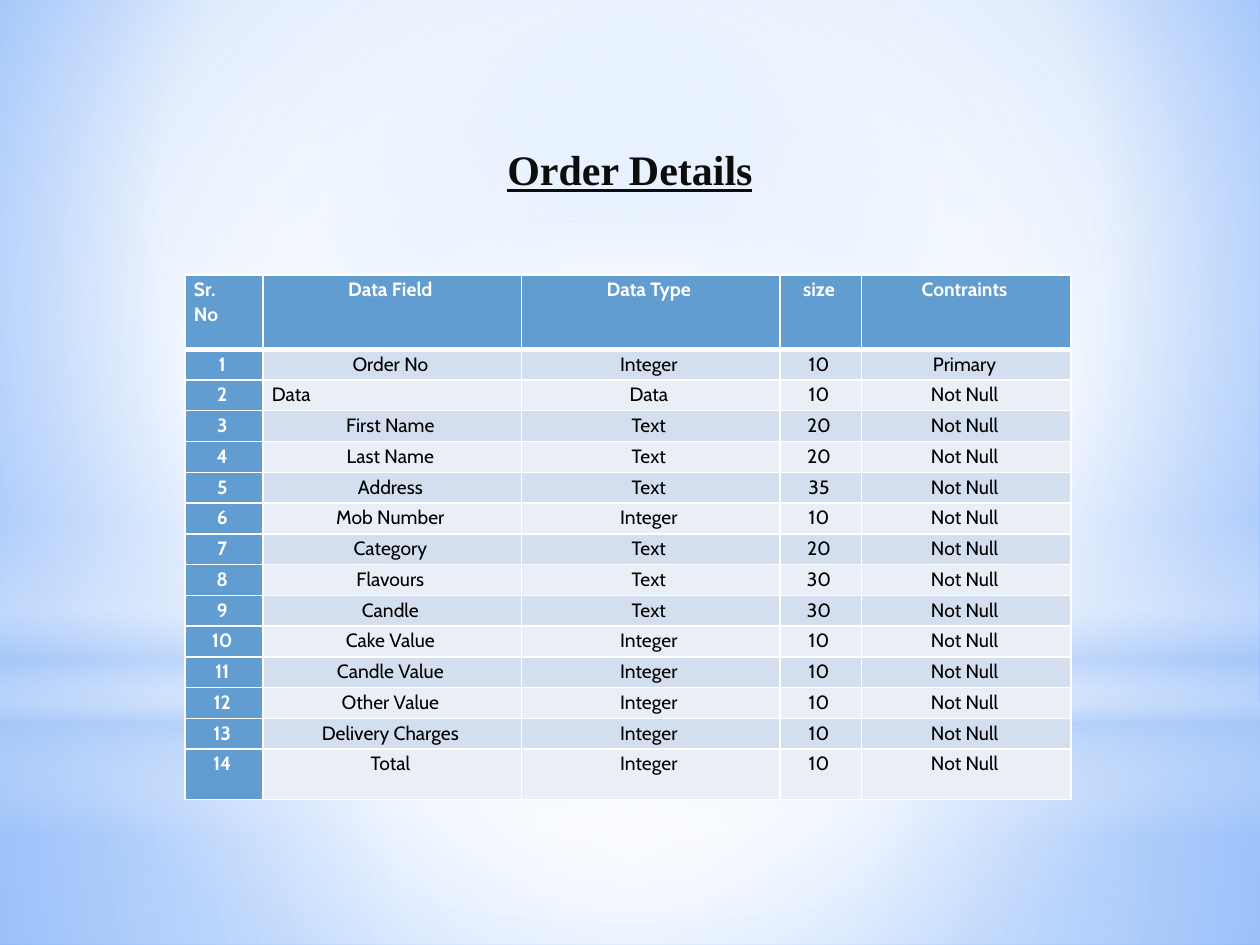
"""Build the Order Details data dictionary slide."""
import pptx
import pptx.dml.color
import pptx.enum.shapes
import pptx.enum.text
import pptx.oxml
import pptx.oxml.ns
import pptx.util

Cm, Pt = pptx.util.Cm, pptx.util.Pt
ALIGN = pptx.enum.text.PP_ALIGN
SHAPE = pptx.enum.shapes.MSO_SHAPE
qn = pptx.oxml.ns.qn

HEADER = ["Sr. No", "Data Field", "Data Type", "size", "Contraints"]
FIELDS = [
    ("Order No", "Integer", 10),
    ("Data", "Data", 10),
    ("First Name", "Text", 20),
    ("Last Name", "Text", 20),
    ("Address", "Text", 35),
    ("Mob Number", "Integer", 10),
    ("Category", "Text", 20),
    ("Flavours", "Text", 30),
    ("Candle", "Text", 30),
    ("Cake Value", "Integer", 10),
    ("Candle Value", "Integer", 10),
    ("Other Value", "Integer", 10),
    ("Delivery Charges", "Integer", 10),
    ("Total", "Integer", 10),
]
COLUMNS = [1.57, 5.21, 5.21, 1.65, 4.22]
ROWS = [1.5] + [0.62] * (len(FIELDS) - 1) + [1.02]
CENTRE = (50, 50, 50, 50)
BACKDROP = [(0, "95C0FF", 100), (60, "FFFFFF", 100), (100, "5599FF", 100)]
GLOWS = [
    (SHAPE.RECTANGLE, (0, 14.17, 25.4, 4.88), CENTRE,
     [(0, "FFFFFF", 91), (37, "FFFFFF", 76), (100, "ACCBF9", 79)]),
    (SHAPE.RECTANGLE, (0, 0, 25.4, 14.17), CENTRE,
     [(0, "FFFFFF", 89), (48, "FFFFFF", 62), (100, "ACCBF9", 79)]),
    (SHAPE.RECTANGLE, (0, 10.46, 25.4, 6.35), None,
     [(0, "FFFFFF", 0), (29, "FFFFFF", 30), (45, "ACCBF9", 40),
      (55, "FFFFFF", 26), (65, "ACCBF9", 60), (100, "FFFFFF", 0)]),
    (SHAPE.OVAL, (0, 4.45, 25.4, 14.17), CENTRE,
     [(0, "FFFFFF", 100), (56, "FFFFFF", 0)]),
]


def rgb(value):
    return pptx.dml.color.RGBColor.from_string(value)


def apply(target, values):
    for name, value in values.items():
        setattr(target, name, value)


class Deck:
    head = {"name": "Cabin", "size": Pt(11), "bold": True}
    body = {"name": "Cabin", "size": Pt(11), "bold": False}
    title_font = {"name": "Times New Roman", "size": Pt(24), "bold": True, "underline": True}
    cell_format = {"margin_left": Cm(0.18), "margin_right": Cm(0.25),
                   "margin_top": Cm(0.03), "margin_bottom": 0}
    accent, bands = "629DD1", ("EAEFF7", "D3DFEE")

    def __init__(self):
        self.prs = pptx.Presentation()
        apply(self.prs, {"slide_width": Cm(25.4), "slide_height": Cm(19.05)})
        self.s = self.prs.slides.add_slide(self.prs.slide_layouts[5])

    def gradient(self, fill, element, stops, focus):
        fill.solid()
        marks = "".join(
            f'<a:gs pos="{pos * 1000}"><a:srgbClr val="{color}">'
            f'<a:alpha val="{alpha * 1000}"/></a:srgbClr></a:gs>'
            for pos, color, alpha in stops)
        shade = '<a:lin ang="5400000" scaled="0"/>'
        if focus:
            sides = " ".join(f'{side}="{v * 1000}"' for side, v in zip("ltrb", focus))
            shade = f'<a:path path="circle"><a:fillToRect {sides}/></a:path>'
        xml = (f'<a:gradFill {pptx.oxml.ns.nsdecls("a")} rotWithShape="1">'
               f'<a:gsLst>{marks}</a:gsLst>{shade}</a:gradFill>')
        old = element.find(".//" + qn("a:solidFill"))
        old.getparent().replace(old, pptx.oxml.parse_xml(xml))

    def background(self, stops, focus):
        self.gradient(self.s.background.fill, self.s.element, stops, focus)

    def glow(self, kind, box, focus, stops):
        sp = self.s.shapes.add_shape(kind, *map(Cm, box))
        sp.shadow.inherit = False
        sp.line.fill.background()
        self.gradient(sp.fill, sp.element, stops, focus)

    def title(self, text, box):
        sp = self.s.shapes.title
        apply(sp, dict(zip(("left", "top", "width", "height"), map(Cm, box))))
        tf = sp.text_frame
        apply(tf, {"word_wrap": True, "margin_top": Cm(0.18),
                   "vertical_anchor": pptx.enum.text.MSO_ANCHOR.TOP})
        p = tf.paragraphs[0]
        p.alignment = ALIGN.CENTER
        r = p.add_run()
        r.text = text
        apply(r.font, self.title_font)
        r.font.color.rgb = rgb("0D0D0D")
        sp.element.getparent().append(sp.element)

    def borders(self, cell, widths):
        tc_pr = cell._tc.get_or_add_tcPr()
        for i, (side, width) in enumerate(zip("LRTB", widths)):
            tc_pr.insert(i, pptx.oxml.parse_xml(
                f'<a:ln{side} {pptx.oxml.ns.nsdecls("a")} w="{Pt(width)}"><a:solidFill>'
                f'<a:srgbClr val="FFFFFF"/></a:solidFill></a:ln{side}>'))

    def cell(self, cell, text, fill, color, font, align):
        apply(cell, self.cell_format)
        cell.fill.solid()
        cell.fill.fore_color.rgb = rgb(fill)
        p = cell.text_frame.paragraphs[0]
        apply(p, {"alignment": align, "line_spacing": 1.07})
        r = p.add_run()
        r.text = str(text)
        apply(r.font, font)
        r.font.color.rgb = rgb(color)

    def table(self, data, left, top, columns, rows):
        table = self.s.shapes.add_table(
            len(rows), len(columns), Cm(left), Cm(top), Cm(sum(columns)), Cm(sum(rows))).table
        apply(table, {"first_row": False, "horz_banding": False})
        for column, width in zip(table.columns, columns):
            column.width = Cm(width)
        for i, (row, height, values) in enumerate(zip(table.rows, rows, data)):
            row.height = Cm(height)
            for j, (cell, value) in enumerate(zip(row.cells, values)):
                strong = i == 0 or j == 0
                fill, color, font = ((self.accent, "FFFFFF", self.head) if strong
                                     else (self.bands[i % 2], "000000", self.body))
                align = ALIGN.LEFT if (i, j) in ((0, 0), (2, 1)) else ALIGN.CENTER
                self.cell(cell, value, fill, color, font, align)
                self.borders(cell, (1, 1, 3 if i == 1 else 1, 3 if i == 0 else 1))
        table.cell(0, 0).margin_right = Cm(0.6)


def main():
    deck = Deck()
    deck.background(BACKDROP, (20, 10, 20, 60))
    for glow in GLOWS:
        deck.glow(*glow)
    data = [HEADER] + [[n, *field, "Primary" if n == 1 else "Not Null"]
                       for n, field in enumerate(FIELDS, 1)]
    deck.table(data, 3.73, 5.54, COLUMNS, ROWS)
    deck.title("Order Details", (1.9, 2.72, 21.6, 2.31))
    deck.prs.save("out.pptx")


if __name__ == "__main__":
    main()
